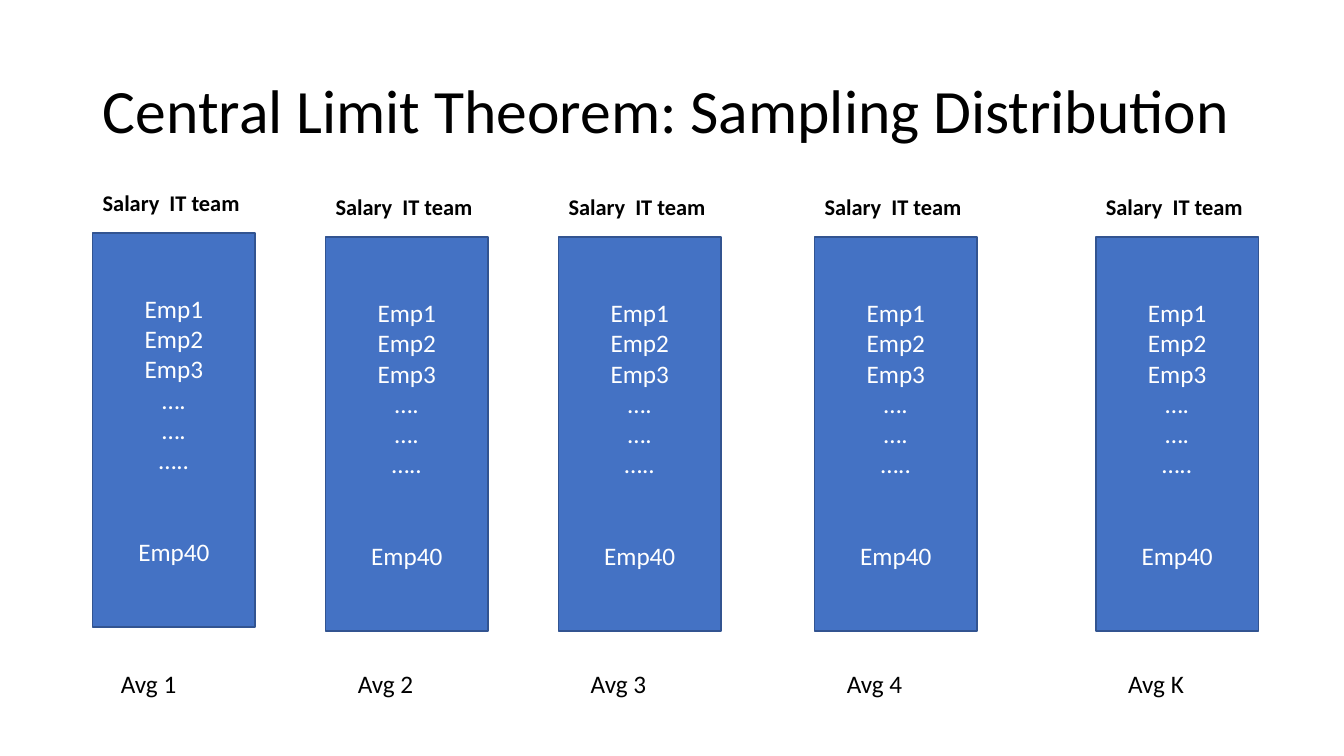
from pptx import Presentation
from pptx.dml.color import RGBColor
from pptx.enum.shapes import MSO_SHAPE as Shape
from pptx.enum.text import MSO_ANCHOR as Anchor, MSO_AUTO_SIZE as AutoSize, PP_ALIGN as Align
from pptx.util import Inches, Pt


def color(hex_code):
    return RGBColor.from_string(hex_code)


def write(frame, lines, size, ink, align=Align.LEFT, bold=False):
    frame.word_wrap = True
    frame.text = "\n".join(lines)
    for paragraph in frame.paragraphs:
        paragraph.alignment = align
        paragraph.font.name = "Calibri"
        paragraph.font.size = Pt(size)
        paragraph.font.bold = bold
        paragraph.font.color.rgb = color(ink)


deck = Presentation()
deck.slide_width, deck.slide_height = Inches(13.33), Inches(7.5)
slide = deck.slides.add_slide(deck.slide_layouts[5])

# Title
title = slide.shapes.title
title.left, title.top = Inches(0.92), Inches(0.4)
title.width, title.height = Inches(11.5), Inches(1.45)
write(title.text_frame, ["Central Limit Theorem: Sampling Distribution"], 44, "000000")
title.text_frame.auto_size = AutoSize.NONE
title.text_frame.vertical_anchor = Anchor.MIDDLE
title.text_frame.paragraphs[0].line_spacing = 0.9

# Samples: left edge, top of the block, indent of the average, name of the average
samples = [
    (0.92, 2.31, 0.18, "Avg 1"),
    (3.23, 2.35, 0.22, "Avg 2"),
    (5.54, 2.35, 0.22, "Avg 3"),
    (8.08, 2.35, 0.22, "Avg 4"),
    (10.87, 2.35, 0.22, "Avg K"),
]
employees = ["Emp1", "Emp2", "Emp3", "….", "….", "…..", "Emp40"]
sample_width = Inches(1.61)

for left, top, indent, average_name in samples:
    # Block of sampled employees
    sample = slide.shapes.add_shape(
        Shape.RECTANGLE, Inches(left), Inches(top), sample_width, Inches(3.91))
    sample.shadow.inherit = False
    sample.fill.solid()
    sample.fill.fore_color.rgb = color("4472C4")
    sample.line.color.rgb = color("325491")
    sample.line.width = Pt(1)
    write(sample.text_frame, employees, 18, "FFFFFF", Align.CENTER)
    sample.text_frame.vertical_anchor = Anchor.MIDDLE
    sample.text_frame.paragraphs[-1].space_before = Pt(44)

    # Heading above the block
    heading = slide.shapes.add_textbox(
        Inches(left), Inches(top - 0.48), sample_width, Inches(0.37))
    write(heading.text_frame, ["Salary  IT team"], 16, "000000", bold=True)

    # Average below the block
    average = slide.shapes.add_textbox(
        Inches(left + indent), Inches(6.58), Inches(1.18), Inches(0.4))
    write(average.text_frame, [average_name], 18, "000000")

deck.save("out.pptx")
